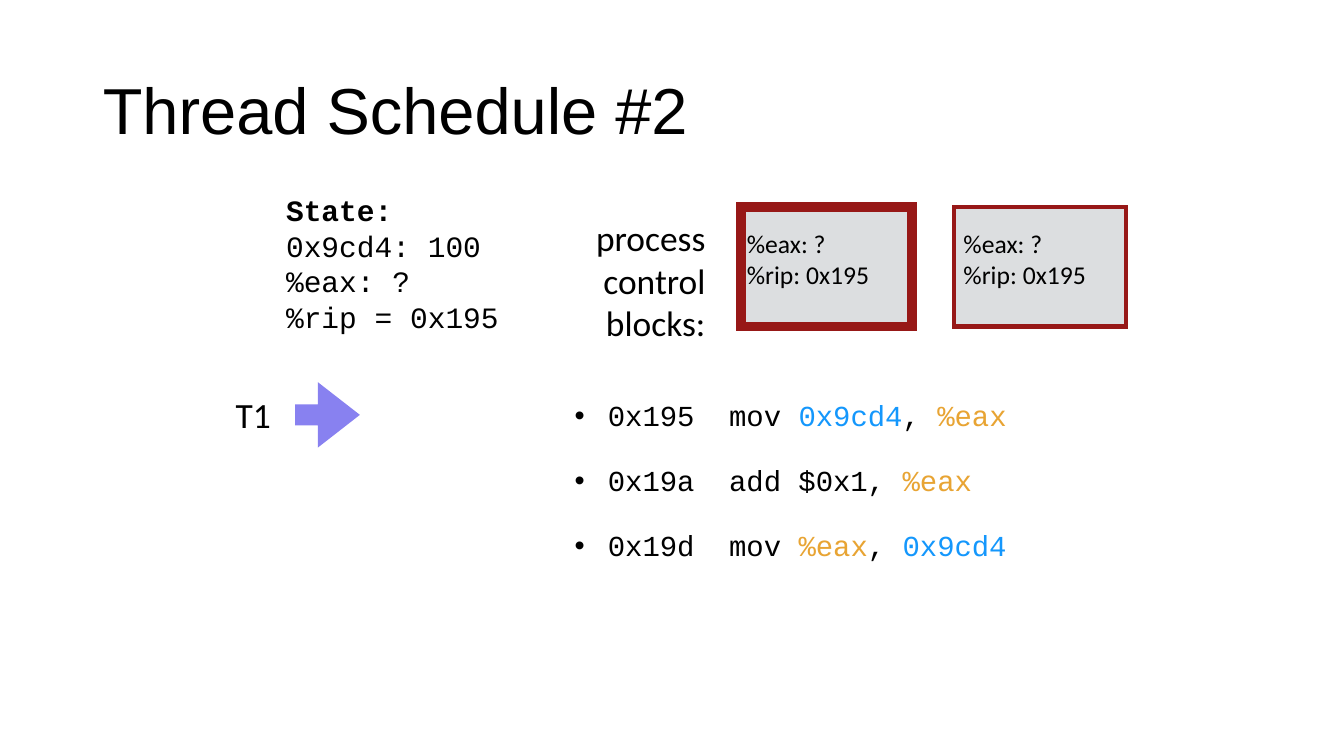
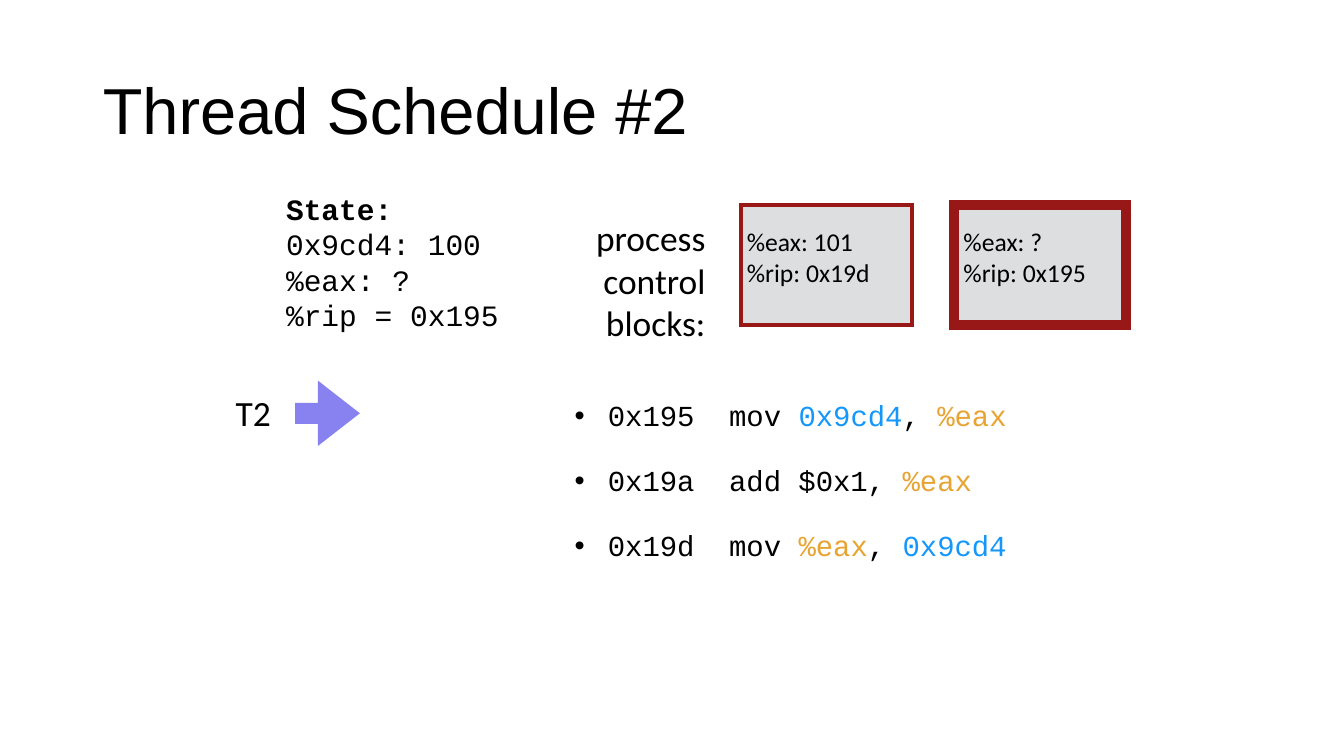
from dataclasses import dataclass

from lxml import etree
from pptx import Presentation
from pptx import util as u
from pptx.dml.color import RGBColor
from pptx.enum import shapes, text
from pptx.oxml.ns import qn

BLACK, ADDRESS, REGISTER = "000000", "1497FC", "E8A433"
BLOCK_FILL, BLOCK_LINE, ARROW_FILL = "DCDEE0", "971817", "8881F0"
HEADING, LABEL, CODE = "Arial", "Calibri", "Courier New"


@dataclass(frozen=True)
class Run:
    words: str
    color: str = BLACK
    bold: bool = False


@dataclass(frozen=True)
class Place:
    left: float
    top: float
    width: float
    height: float

    def lengths(self) -> tuple:
        return tuple(u.Cm(v) for v in (self.left, self.top, self.width, self.height))


@dataclass(frozen=True)
class ControlBlock:
    eax: str
    rip: str


@dataclass(frozen=True)
class Schedule:
    thread: str
    running: int  # index of the block with the heavy outline
    blocks: tuple[ControlBlock, ...]
    shift: float  # vertical offset of the movable parts, cm


EAX, CELL = Run("%eax", REGISTER), Run("0x9cd4", ADDRESS)
PROGRAM = [
    [Run("0x195  mov "), CELL, Run(", "), EAX],
    [Run("0x19a  add $0x1, "), EAX],
    [Run("0x19d  mov "), EAX, Run(", "), CELL],
]
STATE = [[Run("State:", bold=True)], [Run("0x9cd4: 100")],
         [Run("%eax: ?")], [Run("%rip = 0x195")]]
START = ControlBlock("?", "0x195")
SCHEDULES = [
    Schedule("T1", 0, (START, START), 0),
    Schedule("T2", 1, (ControlBlock("101", "0x19d"), START), -0.04),
]
BLOCK_INSETS = (0.15, 0.23)
BLOCK_PITCH = 5.38


def rgb(value: str) -> RGBColor:
    return RGBColor.from_string(value)


def set_frame(frame, insets: tuple, anchor, wrap: bool) -> None:
    frame.auto_size = text.MSO_AUTO_SIZE.NONE
    frame.word_wrap = wrap
    frame.vertical_anchor = anchor
    (frame.margin_left, frame.margin_top,
     frame.margin_right, frame.margin_bottom) = (u.Cm(v) for v in insets)


def write(frame, lines: list, font: str, size: float,
          align=text.PP_ALIGN.LEFT, spacing=None, gap: float = 0) -> None:
    for i, runs in enumerate(lines):
        paragraph = frame.paragraphs[0] if i == 0 else frame.add_paragraph()
        paragraph.alignment = align
        paragraph.space_before = u.Pt(gap if i else 0)
        if spacing:
            paragraph.line_spacing = spacing
        for part in runs:
            run = paragraph.add_run()
            run.text = part.words
            run.font.name, run.font.size = font, u.Pt(size)
            run.font.bold = part.bold
            run.font.color.rgb = rgb(part.color)


def add_label(slide, place: Place, lines: list, font: str, size: float, **style) -> None:
    frame = slide.shapes.add_textbox(*place.lengths()).text_frame
    set_frame(frame, (0.1,) * 4, text.MSO_ANCHOR.MIDDLE, False)
    write(frame, lines, font, size, **style)


def add_filled(slide, kind, place: Place, fill: str):
    shape = slide.shapes.add_shape(kind, *place.lengths())
    shape.shadow.inherit = False
    shape.fill.solid()
    shape.fill.fore_color.rgb = rgb(fill)
    return shape


def add_block(slide, index: int, block: ControlBlock, running: bool, shift: float) -> None:
    place = Place(18.67 + index * BLOCK_PITCH, 5.21 + shift, 4.32, 3.02)
    shape = add_filled(slide, shapes.MSO_SHAPE.RECTANGLE, place, BLOCK_FILL)
    shape.line.color.rgb = rgb(BLOCK_LINE)
    shape.line.width = u.Pt(7 if running else 3)
    outline = shape._element.spPr.find(qn("a:ln"))
    etree.SubElement(outline, qn("a:miter")).set("lim", "800000")
    set_frame(shape.text_frame, (BLOCK_INSETS[index], 0.53, 0, 0),
              text.MSO_ANCHOR.TOP, True)
    write(shape.text_frame, [[Run(f"%eax: {block.eax}")], [Run(f"%rip: {block.rip}")]],
          LABEL, 18.3)


def add_title(slide, words: str) -> None:
    title = slide.shapes.title
    title.left, title.top, title.width, title.height = Place(2.34, 1.02, 29.21, 3.68).lengths()
    set_frame(title.text_frame, (0.25, 0.13, 0.25, 0.13), text.MSO_ANCHOR.MIDDLE, True)
    write(title.text_frame, [[Run(words)]], HEADING, 46.4, spacing=0.9)


def add_program(slide) -> None:
    body = slide.placeholders[1]
    body.left, body.top, body.width, body.height = Place(14.3, 9.92, 15.34, 3.84).lengths()
    set_frame(body.text_frame, (0.18, 0.1, 0.18, 0.1), text.MSO_ANCHOR.TOP, True)
    write(body.text_frame, PROGRAM, CODE, 20.7, spacing=u.Pt(25.1), gap=21.3)
    # Hanging indent for the bullets
    for paragraph in body.text_frame.paragraphs:
        properties = paragraph._p.get_or_add_pPr()
        properties.set("marL", str(u.Cm(0.84)))
        properties.set("indent", str(-u.Cm(0.84)))


def add_schedule(deck, schedule: Schedule) -> None:
    slide = deck.slides.add_slide(deck.slide_layouts[1])
    shift = schedule.shift
    add_title(slide, "Thread Schedule #2")

    # Process control blocks
    for index, block in enumerate(schedule.blocks):
        add_block(slide, index, block, index == schedule.running, shift)
    add_label(slide, Place(14.88, 5.33, 3, 3.45),
              [[Run(word)] for word in ("process", "control", "blocks:")],
              LABEL, 25.3, align=text.PP_ALIGN.RIGHT)

    # Machine state
    add_label(slide, Place(7.11, 4.73 + shift, 5.64, 3.81), STATE, CODE, 21.1,
              spacing=u.Pt(25.3))

    # Running thread and its arrow
    add_label(slide, Place(5.84, 9.8 + shift, 1.09, 1.27),
              [[Run(schedule.thread)]], LABEL, 25.3)
    arrow = add_filled(slide, shapes.MSO_SHAPE.RIGHT_ARROW,
                       Place(7.44, 9.63 + shift, 1.63, 1.65), ARROW_FILL)
    arrow.line.fill.background()
    arrow.adjustments[0], arrow.adjustments[1] = 0.32, 0.65

    add_program(slide)


def main() -> None:
    deck = Presentation()
    deck.slide_width, deck.slide_height = u.Cm(33.87), u.Cm(19.05)
    for schedule in SCHEDULES:
        add_schedule(deck, schedule)
    deck.save("out.pptx")


if __name__ == "__main__":
    main()
